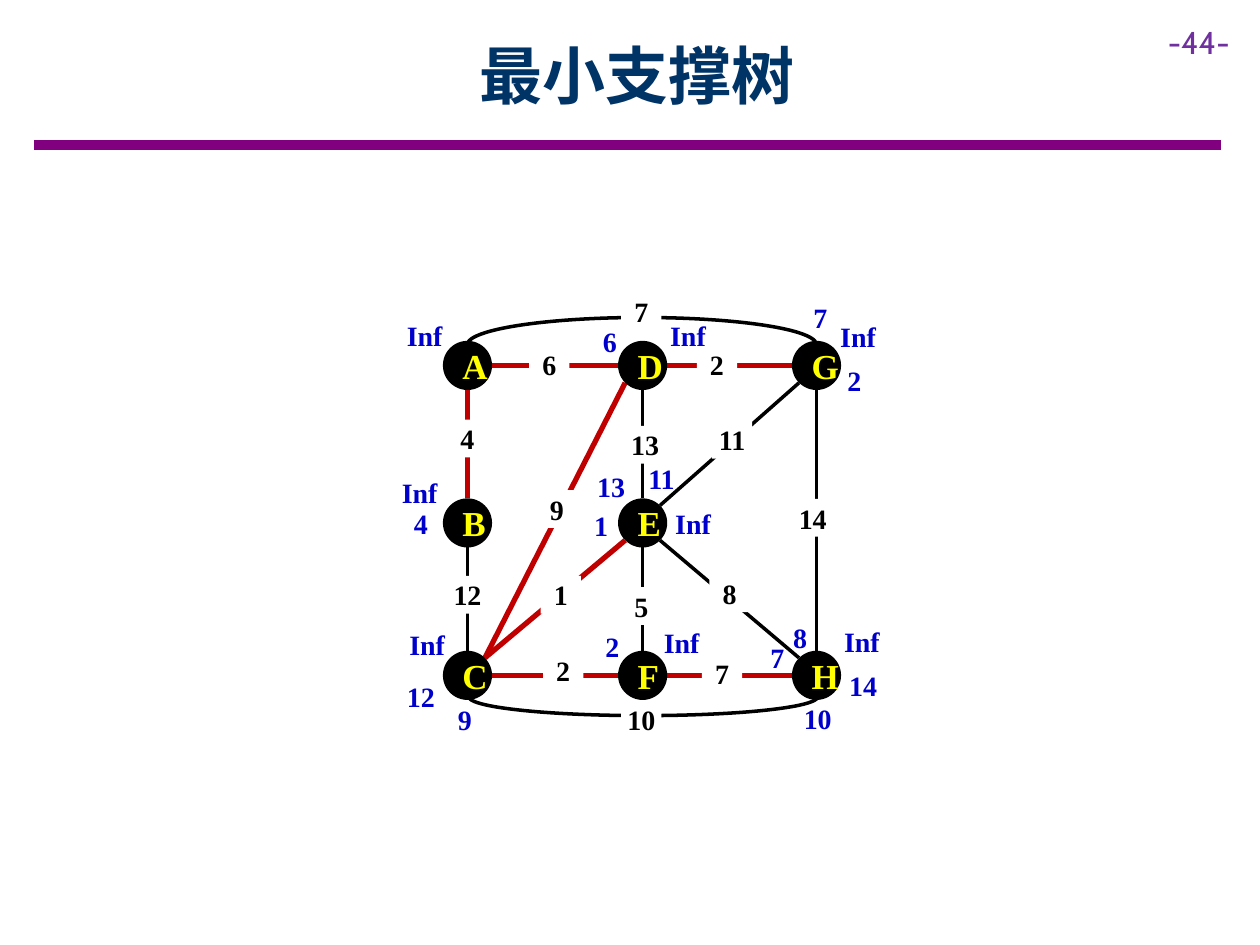
from lxml.etree import SubElement
from pptx import Presentation
from pptx.dml.color import RGBColor
from pptx.enum.shapes import MSO_CONNECTOR as Link, MSO_SHAPE as Preset
from pptx.enum.text import MSO_ANCHOR as Anchor, PP_ALIGN as Align
from pptx.oxml.ns import qn
from pptx.util import Inches, Pt

COLUMNS, ROWS = 100, 75
BLACK, WHITE, RED, BLUE, YELLOW = "000000", "FFFFFF", "C00000", "0000CC", "FFFF00"
NODE = 3.9
LABEL = (3.2, 3)

NODES = {
    "A": (37.1, 29), "D": (51, 29), "G": (64.8, 29),
    "B": (37.1, 41.5), "E": (51, 41.5),
    "C": (37.1, 53.6), "F": (51, 53.6), "H": (64.8, 53.6),
}
OTHER_EDGES = [
    ("B", "C", "12", 35.5, 45.7), ("D", "E", "13", 49.6, 33.8),
    ("E", "G", "11", 56.5, 33.4), ("G", "H", "14", 62.9, 39.6),
    ("E", "H", "8", 56.3, 45.6), ("E", "F", "5", 49.3, 46.6),
]
TREE_EDGES = [
    ("A", "B", "4", 35.5, 33.3), ("A", "D", "6", 42, 27.4),
    ("D", "G", "2", 55.3, 27.4), ("C", "D", "9", 42.6, 38.9),
    ("C", "E", "1", 42.9, 45.7), ("C", "F", "2", 43.1, 51.7),
    ("F", "H", "7", 55.7, 51.9),
]
ARCS = [
    ((37.1, 25.2, 27.7, 4.3), (108, 0), "7", 49.3, 23.2),
    ((37.2, 53.8, 27.7, 3), (0, 108), "10", 49.3, 55.6),
]
KEYS = [
    ("Inf", 32.1, 25.1), ("Inf", 53, 25.1), ("Inf", 66.5, 25.2),
    ("Inf", 31.7, 37.6), ("Inf", 53.4, 40), ("Inf", 32.3, 49.6),
    ("Inf", 52.5, 49.5), ("Inf", 66.8, 49.4),
    ("6", 46.8, 25.6), ("7", 63.5, 23.7), ("2", 66.2, 28.7),
    ("4", 31.8, 40), ("13", 46.9, 37.1), ("11", 50.9, 36.5), ("1", 46.1, 40.2),
    ("12", 31.8, 53.8), ("9", 35.3, 55.6), ("2", 47, 49.8),
    ("8", 61.9, 49.1), ("7", 60.1, 50.7), ("14", 66.9, 52.9), ("10", 63.3, 55.5),
]


def rgb(value):
    return RGBColor.from_string(value)


def write(frame, text, size=16, color=BLACK, font="Times New Roman", bold=True,
          align=Align.CENTER, anchor=Anchor.MIDDLE, side=0, edge=0.1):
    frame.word_wrap = True
    frame.vertical_anchor = anchor
    frame.margin_left = frame.margin_right = Inches(side)
    frame.margin_top = frame.margin_bottom = Inches(edge)
    paragraph = frame.paragraphs[0]
    paragraph.alignment = align
    run = paragraph.add_run()
    run.text = text
    run.font.size, run.font.bold, run.font.name = Pt(size), bold, font
    run.font.color.rgb = rgb(color)
    SubElement(run.font._element, qn("a:ea"), typeface=font)


def rim_offset(here, there):
    steps = [(b > a) - (b < a) for a, b in zip(here, there)]
    reach = NODE / 2 * (0.71 if all(steps) else 1)
    return [a + step * reach for a, step in zip(here, steps)]


class GraphSlide:
    def __init__(self, deck):
        self.column = deck.slide_width / COLUMNS
        self.row = deck.slide_height / ROWS
        self.shapes = deck.slides.add_slide(deck.slide_layouts[6]).shapes

    def place(self, *lengths):
        units = (self.column, self.row) * 2
        return [round(length * unit) for length, unit in zip(lengths, units)]

    def shape(self, preset, box, fill=None):
        shape = self.shapes.add_shape(preset, *self.place(*box))
        shape.shadow.inherit = False
        shape.line.fill.background()
        if fill:
            shape.fill.solid()
            shape.fill.fore_color.rgb = rgb(fill)
        else:
            shape.fill.background()
        return shape

    def text(self, text, box, **style):
        frame = self.shapes.add_textbox(*self.place(*box)).text_frame
        write(frame, text, **style)

    def line(self, start, end, color=BLACK, width=2):
        line = self.shapes.add_connector(Link.STRAIGHT, *self.place(*start, *end))
        line.line.color.rgb, line.line.width = rgb(color), Pt(width)
        SubElement(line._element.spPr, qn("a:effectLst"))

    def edge(self, first, second, **style):
        start, end = NODES[first], NODES[second]
        self.line(rim_offset(start, end), rim_offset(end, start), **style)

    def arc(self, box, angles):
        arc = self.shape(Preset.ARC, box)
        arc.adjustments[0], arc.adjustments[1] = angles
        arc.line.color.rgb, arc.line.width = rgb(BLACK), Pt(2)

    def weight(self, value, left, top):
        patch = self.shape(Preset.RECTANGLE, (left, top, *LABEL), WHITE)
        write(patch.text_frame, value)

    def node(self, letter, center):
        left, top = (middle - NODE / 2 for middle in center)
        circle = self.shape(Preset.OVAL, (left, top, NODE, NODE), BLACK)
        write(circle.text_frame, letter, size=20, color=YELLOW, side=0.1)

    def key(self, value, left, top):
        self.text(value, (left, top, *LABEL), color=BLUE)


def main():
    deck = Presentation()
    deck.slide_width, deck.slide_height = Inches(10), Inches(7.5)
    graph = GraphSlide(deck)
    graph.line((2.7, 11.5), (96.9, 11.5), color="800080", width=6)
    graph.text("-44-", (91.7, 1.3, 8.3, 4), size=18, color="7030A0", font="Cabin",
               bold=False, align=Align.LEFT, anchor=Anchor.TOP, side=0.1, edge=0.05)
    graph.text("最小支撑树", (9, 0.9, 83.1, 10), size=36, color="003366",
               font="Noto Sans CJK SC", side=0.1, edge=0.05)
    for first, second, *_ in OTHER_EDGES:
        graph.edge(first, second)
    for first, second, *_ in TREE_EDGES:
        graph.edge(first, second, color=RED, width=3)
    for box, angles, *_ in ARCS:
        graph.arc(box, angles)
    for _, _, *label in OTHER_EDGES + TREE_EDGES + ARCS:
        graph.weight(*label)
    for letter, center in NODES.items():
        graph.node(letter, center)
    for key in KEYS:
        graph.key(*key)
    deck.save("out.pptx")


if __name__ == "__main__":
    main()
